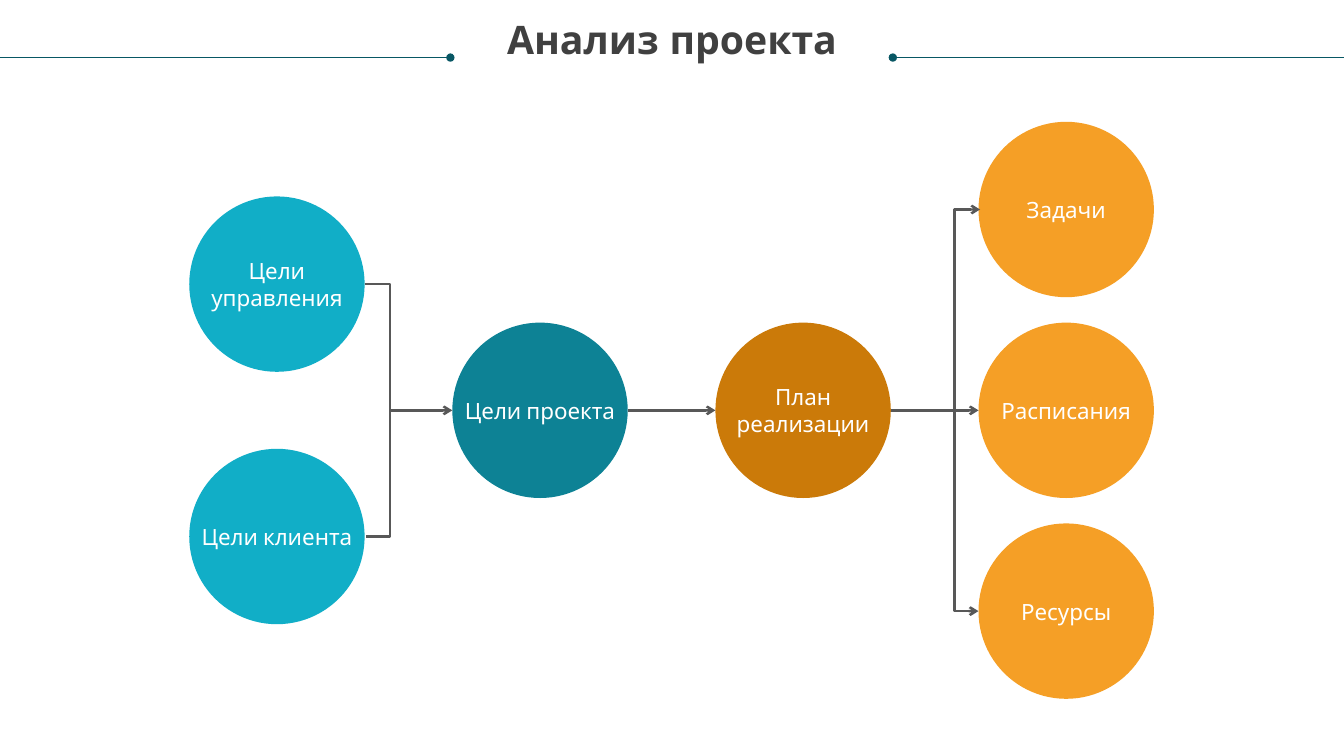
from dataclasses import dataclass

from lxml import etree
from pptx import Presentation
from pptx.dml.color import RGBColor
from pptx.enum.shapes import MSO_CONNECTOR, MSO_SHAPE
from pptx.enum.text import MSO_ANCHOR, MSO_AUTO_SIZE, PP_ALIGN
from pptx.oxml.ns import qn
from pptx.util import Cm, Pt

LINE, ELBOW = MSO_CONNECTOR.STRAIGHT, MSO_CONNECTOR.ELBOW
OVAL = MSO_SHAPE.OVAL
TOP, MIDDLE = MSO_ANCHOR.TOP, MSO_ANCHOR.MIDDLE
CENTER = PP_ALIGN.CENTER
FIXED = MSO_AUTO_SIZE.NONE


@dataclass(frozen=True)
class Theme:
    head: str = "Quicksand"
    body: str = "Cabin"
    head_size: float = 28
    body_size: float = 16
    rule_width: float = 0.5
    link_width: float = 1.75
    ink: str = "404040"
    white: str = "FFFFFF"
    rule: str = "085764"
    link: str = "585858"
    aqua: str = "11AEC7"
    teal: str = "0D8295"
    brown: str = "CB7A09"
    amber: str = "F59F26"


theme = Theme()

# Content: label, column, offset from the middle row in cm, colour
TITLE = "Анализ проекта"
GOAL, TASK = 3.18, 5.06
NODES = [
    ("Цели управления", 0, -GOAL, theme.aqua),
    ("Цели клиента", 0, GOAL, theme.aqua),
    ("Цели проекта", 1, 0, theme.teal),
    ("План реализации", 2, 0, theme.brown),
    ("Расписания", 3, 0, theme.amber),
    ("Задачи", 3, -TASK, theme.amber),
    ("Ресурсы", 3, TASK, theme.amber),
]

# Layout in cm
WIDE, HIGH = 33.87, 19.05
LEFT, PITCH, MID = 6.98, 6.63, 10.34
SIZE, TEXT_W, TEXT_H = 4.42, 3.81, 1.37
RULE_Y, RULE_L, RULE_R = 1.45, 11.35, 22.5
BEND, SLIP = 0.64, 0.04


def center(col):
    return LEFT + col * PITCH


def edge(col, side):
    return center(col) + side * SIZE / 2


def write(frame, text, font, size, color, anchor, bold=False):
    frame.word_wrap = True
    frame.auto_size = FIXED
    frame.vertical_anchor = anchor
    frame.margin_left = frame.margin_right = 0
    frame.margin_top = frame.margin_bottom = 0
    para = frame.paragraphs[0]
    para.alignment = CENTER
    run = para.add_run()
    run.text = text
    run.font.name, run.font.size, run.font.bold = font, Pt(size), bold
    run.font.color.rgb = RGBColor.from_string(color)
    return para


def join(slide, kind, start, end, color, width, head=None, tail=None):
    line = slide.shapes.add_connector(kind, *map(Cm, start + end))
    line.line.color.rgb = RGBColor.from_string(color)
    line.line.width = Pt(width)
    props = line._element.spPr
    for tag, tip in (("a:headEnd", head), ("a:tailEnd", tail)):
        if tip:
            etree.SubElement(props.find(qn("a:ln")), qn(tag), type=tip)
    etree.SubElement(props, qn("a:effectLst"))
    return line


def bracket(slide, start, end, **tips):
    line = join(slide, ELBOW, start, end, theme.link, theme.link_width, **tips)
    geom = line._element.spPr.find(qn("a:prstGeom"))
    guides = geom.find(qn("a:avLst"))
    bend = round(BEND / SLIP * 100000)
    etree.SubElement(guides, qn("a:gd"), name="adj1", fmla=f"val {bend}")


def add_title(slide):
    title = slide.shapes.title
    title.left, title.top = Cm(0.64), Cm(0.53)
    title.width, title.height = Cm(32.59), Cm(2.16)
    para = write(title.text_frame, TITLE, theme.head, theme.head_size,
                 theme.ink, TOP, True)
    para.line_spacing = 0.9


def add_node(slide, col, shift, color):
    disc = slide.shapes.add_shape(
        OVAL, Cm(edge(col, -1)), Cm(MID + shift - SIZE / 2), Cm(SIZE), Cm(SIZE))
    disc.shadow.inherit = False
    disc.fill.solid()
    disc.fill.fore_color.rgb = RGBColor.from_string(color)
    disc.line.fill.background()


def add_label(slide, text, col, shift):
    box = slide.shapes.add_textbox(
        Cm(center(col) - TEXT_W / 2), Cm(MID + shift - TEXT_H / 2),
        Cm(TEXT_W), Cm(TEXT_H))
    write(box.text_frame, text, theme.body, theme.body_size, theme.white, MIDDLE)


def main():
    deck = Presentation()
    deck.slide_width, deck.slide_height = Cm(WIDE), Cm(HIGH)
    slide = deck.slides.add_slide(deck.slide_layouts[5])

    # Title between two rules
    add_title(slide)
    for start, stop, tips in ((0, RULE_L, {"tail": "oval"}),
                              (RULE_R, WIDE, {"head": "oval"})):
        join(slide, LINE, (start, RULE_Y), (stop, RULE_Y),
             theme.rule, theme.rule_width, **tips)

    # Circles
    for text, col, shift, color in NODES:
        add_node(slide, col, shift, color)

    # Brackets that gather the goals and fan out to the tasks
    out, into = edge(0, 1), edge(3, -1)
    bracket(slide, (out, MID - GOAL), (out + SLIP, MID + GOAL))
    bracket(slide, (into + SLIP, MID - TASK), (into, MID + TASK),
            head="arrow", tail="arrow")

    # Arrows along the middle row
    for col, start in ((1, out + BEND), (2, edge(1, 1)), (3, edge(2, 1))):
        join(slide, LINE, (start, MID), (edge(col, -1), MID),
             theme.link, theme.link_width, tail="arrow")

    # Labels
    for text, col, shift, color in NODES:
        add_label(slide, text, col, shift)

    deck.save("out.pptx")


if __name__ == "__main__":
    main()
